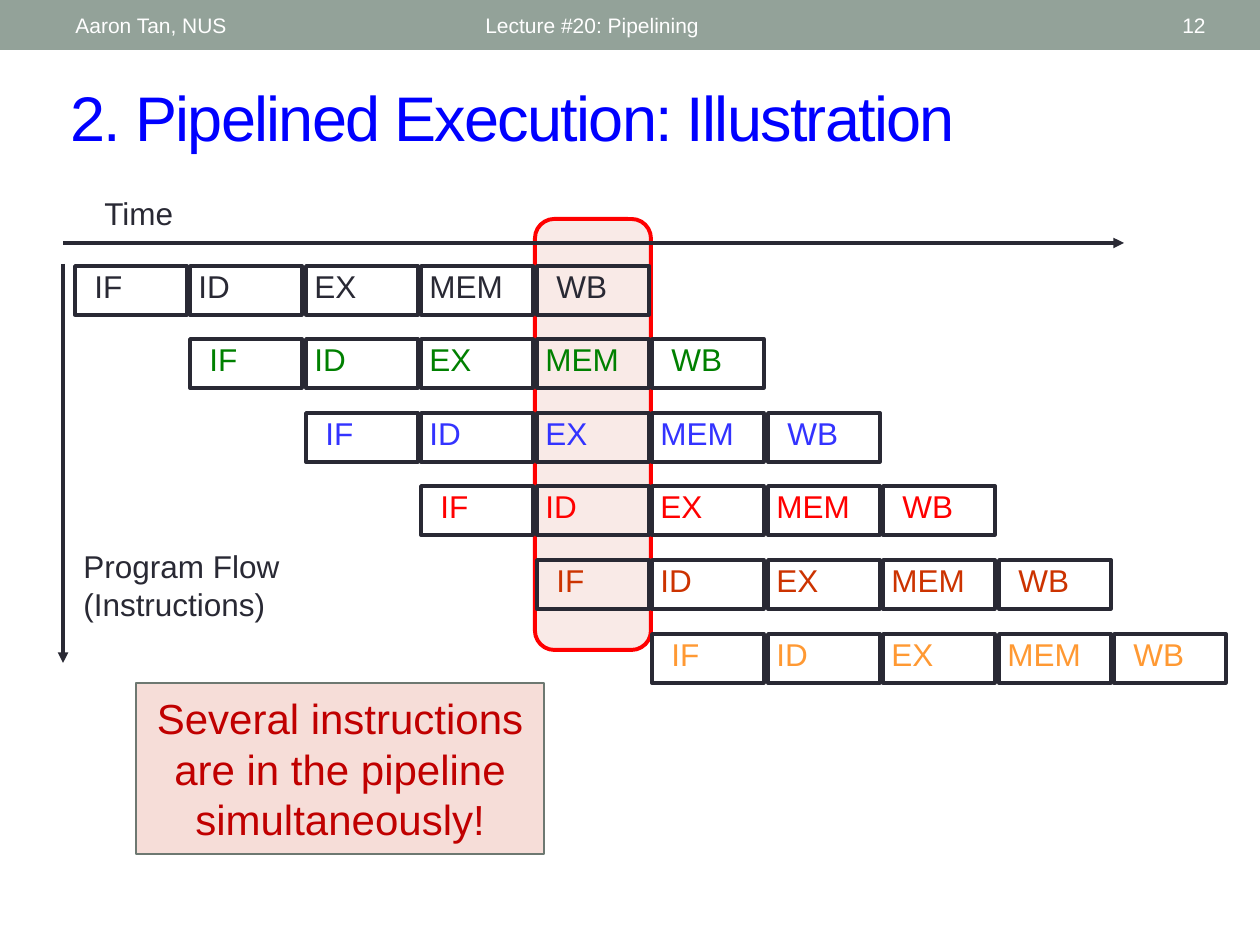
from lxml.etree import SubElement
from pptx import Presentation
from pptx.dml.color import RGBColor
from pptx.enum.shapes import MSO_CONNECTOR as Connector, MSO_SHAPE as Preset
from pptx.enum.text import MSO_ANCHOR as Anchor, MSO_AUTO_SIZE as AutoSize, PP_ALIGN as Align
from pptx.oxml.ns import qn
from pptx.util import Emu, Pt

SCALE = 914400 / 126
FONT = "Arial"
WHITE = RGBColor(0xFF, 0xFF, 0xFF)
SAGE = RGBColor(0x93, 0xA2, 0x99)
DARK_SAGE = RGBColor(0x6D, 0x78, 0x71)
INK = RGBColor(0x29, 0x29, 0x34)
BLUE = RGBColor(0x00, 0x00, 0xFF)
GREEN = RGBColor(0x00, 0x80, 0x00)
INDIGO = RGBColor(0x33, 0x33, 0xFF)
RED = RGBColor(0xFF, 0x00, 0x00)
RUST = RGBColor(0xCC, 0x33, 0x00)
ORANGE = RGBColor(0xFF, 0x99, 0x33)
PINK = RGBColor(0xF6, 0xDD, 0xD8)
CRIMSON = RGBColor(0xC0, 0x00, 0x00)

STAGES = [("IF", 7, 53), ("ID", -4, 57), ("EX", -4, 68), ("MEM", -4, 100), ("WB", 7, 77)]
INSTRUCTION_COLOURS = [INK, GREEN, INDIGO, RED, RUST, ORANGE]


def px(length):
    """Turn pixels into EMU."""
    return Emu(round(length * SCALE))


def write(paragraph, wording, size, colour, align=Align.LEFT):
    """Add one formatted run to a paragraph."""
    paragraph.alignment = align
    run = paragraph.add_run()
    run.text = wording
    run.font.name = FONT
    run.font.size = Pt(size)
    run.font.color.rgb = colour
    return run


def add_box(shapes, bounds, fill=None, line=None, weight=2, preset=Preset.RECTANGLE):
    """Add a preset shape with an optional fill and outline."""
    box = shapes.add_shape(preset, *map(px, bounds))
    box.shadow.inherit = False
    if fill is None:
        box.fill.background()
    else:
        box.fill.solid()
        box.fill.fore_color.rgb = fill
    if line is None:
        box.line.fill.background()
    else:
        box.line.color.rgb = line
        box.line.width = Pt(weight)
    return box


def add_label(shapes, bounds, lines, colour=INK):
    """Add an unwrapped label that fits its text."""
    frame = shapes.add_textbox(*map(px, bounds)).text_frame
    frame.word_wrap = False
    frame.auto_size = AutoSize.SHAPE_TO_FIT_TEXT
    for index, wording in enumerate(lines):
        paragraph = frame.add_paragraph() if index else frame.paragraphs[0]
        write(paragraph, wording, 18, colour)


def add_header(shapes, left, width, wording, align=Align.LEFT):
    """Add one entry of the top band."""
    frame = shapes.add_textbox(px(left), px(3), px(width), px(45)).text_frame
    frame.word_wrap = True
    frame.vertical_anchor = Anchor.MIDDLE
    write(frame.paragraphs[0], wording, 12, WHITE, align)


def add_axis(shapes, *ends):
    """Add a straight axis with an arrowhead at its far end."""
    axis = shapes.add_connector(Connector.STRAIGHT, *map(px, ends))
    axis.line.color.rgb = INK
    axis.line.width = Pt(2)
    SubElement(axis.line._get_or_add_ln(), qn("a:tailEnd"), type="triangle")
    SubElement(axis._element.spPr, qn("a:effectLst"))


def add_title(slide, wording):
    """Place and format the title."""
    title = slide.shapes.title
    title.left, title.top, title.width, title.height = map(px, (58, 72, 1187, 88))
    title.text_frame.vertical_anchor = Anchor.MIDDLE
    run = write(title.text_frame.paragraphs[0], wording, 36, BLUE)
    run.font._element.set("spc", "-100")


def add_highlight(shapes):
    """Mark the cycle in which five instructions overlap."""
    highlight = add_box(shapes, (535, 219, 116, 431), PINK, RED, 2.25, Preset.ROUNDED_RECTANGLE)
    colour = highlight._element.spPr.find(qn("a:solidFill")).find(qn("a:srgbClr"))
    SubElement(colour, qn("a:alpha"), val="60000")


def add_instruction(slide, row, colour):
    """Add the five stages of one instruction, shifted by its row."""
    group = slide.shapes.add_group_shape().shapes
    top = 266 + 368 * row // 5
    lefts = [75 + 231 * (row + step) // 2 for step in range(len(STAGES))]
    for left in lefts:
        add_box(group, (left, top, 112, 49), line=INK)
    for left, (stage, shift, width) in zip(lefts, STAGES):
        add_label(group, (left + shift, top - 5, width, 50), [stage], colour)


def add_callout(shapes, wording):
    """Add the conclusion box."""
    callout = add_box(shapes, (136, 683, 408, 171), PINK, DARK_SAGE, 1.25)
    callout.text_frame.word_wrap = True
    callout.text_frame.vertical_anchor = Anchor.MIDDLE
    write(callout.text_frame.paragraphs[0], wording, 24, CRIMSON, Align.CENTER)


def main():
    """Build the pipelining slide."""
    deck = Presentation()
    deck.slide_width, deck.slide_height = px(1260), px(945)
    slide = deck.slides.add_slide(deck.slide_layouts[5])
    shapes = slide.shapes

    add_box(shapes, (0, 0, 1260, 50), SAGE)
    add_title(slide, "2. Pipelined Execution: Illustration")
    add_header(shapes, 473, 567, "Lecture #20: Pipelining")
    add_header(shapes, 1099, 119, "12", Align.RIGHT)
    add_header(shapes, 63, 399, "Aaron Tan, NUS")

    add_highlight(shapes)
    for row, colour in enumerate(INSTRUCTION_COLOURS):
        add_instruction(slide, row, colour)

    add_axis(shapes, 63, 264, 63, 663)
    add_label(shapes, (71, 541, 224, 88), ["Program Flow", "(Instructions)"])
    add_axis(shapes, 63, 243, 1124, 243)
    add_label(shapes, (92, 188, 96, 50), ["Time"])
    add_callout(shapes, "Several instructions are in the pipeline simultaneously!")
    deck.save("out.pptx")


if __name__ == "__main__":
    main()
